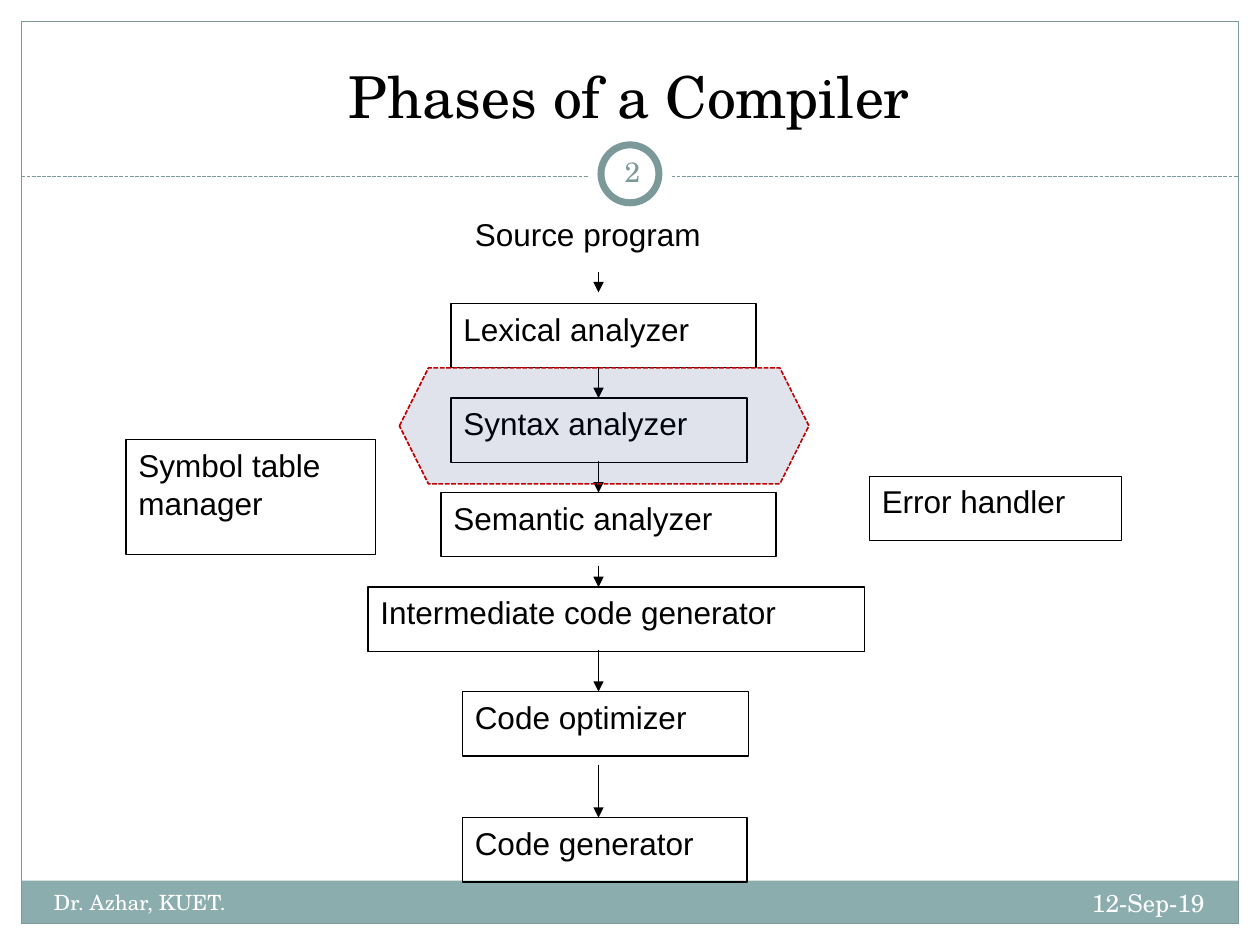
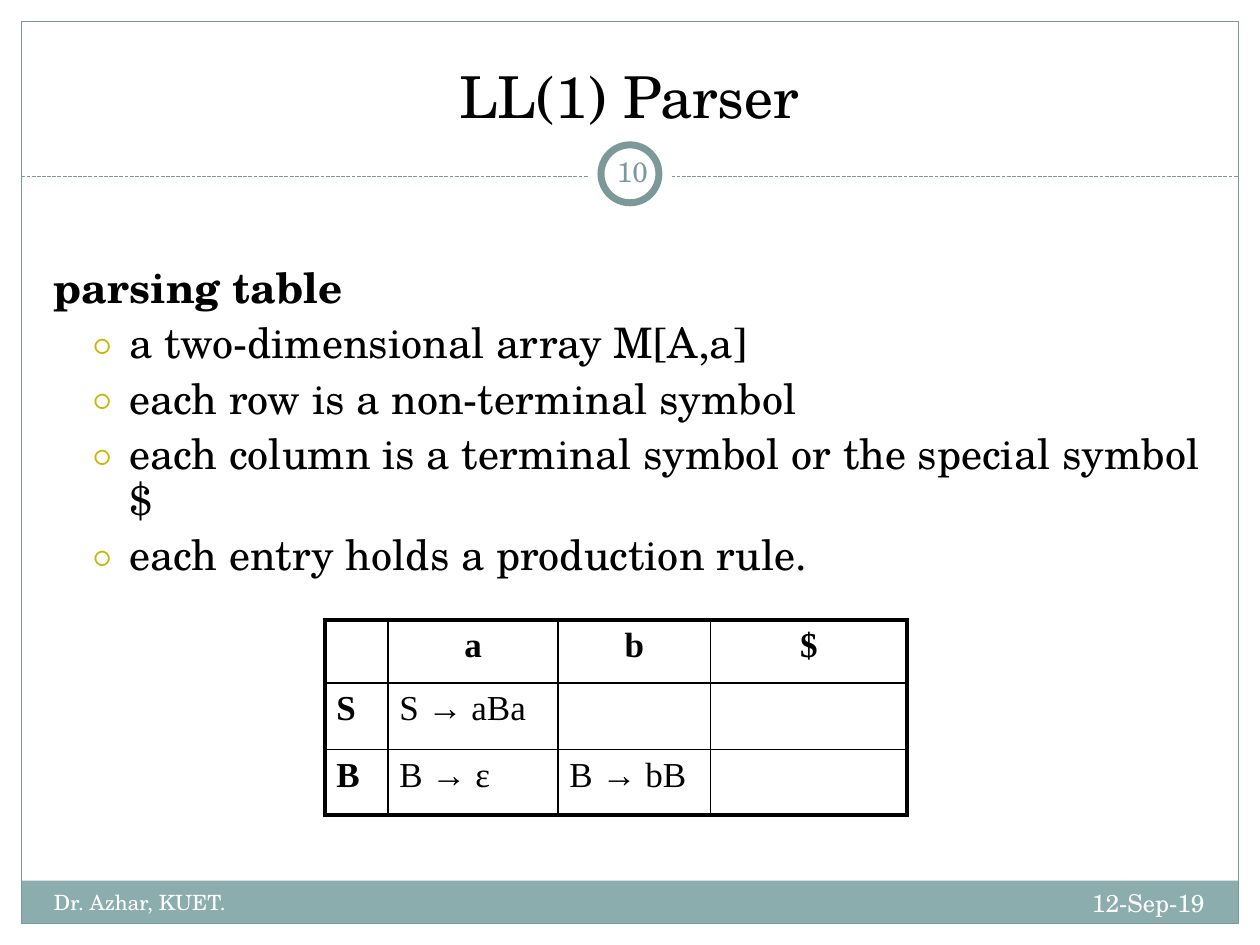
from dataclasses import dataclass
from lxml.etree import SubElement
from pptx import Presentation
from pptx.dml.color import RGBColor
from pptx.enum.dml import MSO_LINE
from pptx.enum.shapes import MSO_CONNECTOR, MSO_SHAPE
from pptx.enum.text import MSO_ANCHOR, PP_ALIGN
from pptx.oxml import parse_xml
from pptx.oxml.ns import nsdecls, qn
from pptx.util import Inches, Pt


@dataclass(frozen=True)
class Theme:
    ink: str = "000000"
    paper: str = "FFFFFF"
    band: str = "8CADAE"
    edge: str = "7C999A"
    bullet: str = "CCB400"
    focus: str = "002060"
    alert: str = "C00000"
    serif: str = "TeX Gyre Schola"
    sans: str = "Arial"
    table: str = "Times New Roman"
    title: int = 33
    body: int = 24
    cell: int = 20
    label: int = 18
    number: int = 16
    date: int = 14
    footer: int = 12


T = Theme()
WIDTH, HEIGHT = 10, 7.5
MARGIN = 0.17


def rgb(value):
    return RGBColor.from_string(value)


def inches(*values):
    return [Inches(v) for v in values]


def write(tf, text, size=T.label, font=T.sans, color=T.ink, bold=False,
          align=PP_ALIGN.LEFT, anchor=MSO_ANCHOR.TOP):
    tf.word_wrap = True
    tf.vertical_anchor = anchor
    for i, line in enumerate(text.split("\n")):
        p = tf.add_paragraph() if i else tf.paragraphs[0]
        p.alignment = align
        r = p.add_run()
        r.text = line
        r.font.size, r.font.name, r.font.bold = Pt(size), font, bold
        r.font.color.rgb = rgb(color)


def add_text(s, box, text, inset=None, **fmt):
    tf = s.shapes.add_textbox(*inches(*box)).text_frame
    if inset is not None:
        tf.margin_left = tf.margin_right = Inches(inset)
    write(tf, text, **fmt)
    return tf


def style_line(line, color, width, dash=None):
    line.color.rgb = rgb(color)
    line.width = Pt(width)
    if dash:
        line.dash_style = dash


def add_box(s, kind, box, fill=None, line=None, width=0.75, dash=None):
    sp = s.shapes.add_shape(kind, *inches(*box))
    sp.shadow.inherit = False
    if fill:
        sp.fill.solid()
        sp.fill.fore_color.rgb = rgb(fill)
    else:
        sp.fill.background()
    if line:
        style_line(sp.line, line, width, dash)
    else:
        sp.line.fill.background()
    return sp


def add_line(s, x1, y1, x2, y2, color=T.ink, dash=None, arrow=False):
    c = s.shapes.add_connector(MSO_CONNECTOR.STRAIGHT, *inches(x1, y1, x2, y2))
    style_line(c.line, color, 0.75, dash)
    if arrow:
        SubElement(c.line._get_or_add_ln(), qn("a:tailEnd"), type="triangle")
    SubElement(c._element.spPr, qn("a:effectLst"))


def number_badge(s, cx, cy, number):
    for size, line in ((0.67, None), (0.46, T.edge)):
        add_box(s, MSO_SHAPE.OVAL, (cx - size / 2, cy - size / 2, size, size),
                fill=T.paper, line=line, width=4)
    add_text(s, (cx - 0.23, cy - 0.26, 0.5, 0.48), str(number), inset=0.05,
             size=T.number, font=T.serif, color=T.edge,
             align=PP_ALIGN.CENTER, anchor=MSO_ANCHOR.MIDDLE)


def footer_band(s, left, top, width):
    add_box(s, MSO_SHAPE.RECTANGLE, (left, top, width, 0.34), fill=T.band)
    add_text(s, (left + 0.16, top + 0.02, 3.92, 0.4), "Dr. Azhar, KUET.",
             size=T.footer, font=T.serif, color=T.paper)
    add_text(s, (left + width - 3.5, top + 0.01, 3.33, 0.4), "12-Sep-19",
             size=T.date, font=T.serif, color=T.paper, align=PP_ALIGN.RIGHT)


def new_slide(prs, title, number):
    s = prs.slides.add_slide(prs.slide_layouts[6])
    inner = WIDTH - 2 * MARGIN
    footer_band(s, MARGIN, 6.99, inner)
    add_box(s, MSO_SHAPE.RECTANGLE,
            (MARGIN, MARGIN, inner, HEIGHT - 2 * MARGIN), line=T.edge)
    add_line(s, MARGIN, 1.4, WIDTH - MARGIN, 1.4, T.edge, MSO_LINE.SQUARE_DOT)
    number_badge(s, WIDTH / 2, 1.38, number)
    add_text(s, (0.33, 0.25, 9.33, 0.83), title, size=T.title, font=T.serif,
             align=PP_ALIGN.CENTER, anchor=MSO_ANCHOR.BOTTOM)
    return s


def phase_diagram(s, left, top):
    phases = [
        ("Lexical analyzer", 2.58, 0.75, 2.42),
        ("Syntax analyzer", 2.58, 1.5, 2.35),
        ("Semantic analyzer", 2.5, 2.25, 2.66),
        ("Intermediate code generator", 1.92, 3, 3.94),
        ("Code optimizer", 2.67, 3.83, 2.27),
        ("Code generator", 2.67, 4.83, 2.26),
    ]
    helpers = [
        ("Symbol table\nmanager", 0, 1.83, 1.98, 0.91),
        ("Error handler", 5.9, 2.12, 2, 0.51),
    ]
    arrows = [(0.5, 0.66), (1.25, 1.5), (2, 2.25), (2.83, 3), (3.5, 3.83),
              (4.41, 4.83)]
    add_text(s, (left + 2.67, top, 2.34, 0.5), "Source program")
    for text, x, y, w, h in [(*phase, 0.51) for phase in phases] + helpers:
        sp = add_box(s, MSO_SHAPE.RECTANGLE, (left + x, top + y, w, h), line=T.ink)
        write(sp.text_frame, text)
    for start, end in arrows:
        add_line(s, left + 3.75, top + start, left + 3.75, top + end, arrow=True)
    focus = add_box(s, MSO_SHAPE.HEXAGON, (left + 2.17, top + 1.26, 3.25, 0.92),
                    fill=T.focus, line=T.alert, width=0.9, dash=MSO_LINE.SQUARE_DOT)
    color = focus._element.spPr.find(qn("a:solidFill")).find(qn("a:srgbClr"))
    SubElement(color, qn("a:alpha"), val="12000")


def add_bullet(p):
    pPr = p._p.get_or_add_pPr()
    pPr.set("marL", str(Inches(0.6)))
    pPr.set("indent", str(Inches(-0.3)))
    SubElement(SubElement(pPr, qn("a:buClr")), qn("a:srgbClr"), val=T.bullet)
    SubElement(pPr, qn("a:buSzPct"), val="70000")
    SubElement(pPr, qn("a:buFont"), typeface=T.serif)
    SubElement(pPr, qn("a:buChar"), char="○")


def bullet_list(s, box, heading, items):
    tf = add_text(s, box, "\n".join([heading, *items]), size=T.body, font=T.serif)
    for i, p in enumerate(tf.paragraphs):
        p.line_spacing = 0.9
        if i:
            p.space_before = Pt(5.8)
            add_bullet(p)
        else:
            p.runs[0].font.bold = True


def set_borders(cell, widths):
    tcPr = cell._tc.get_or_add_tcPr()
    for i, (side, width) in enumerate(zip("LRTB", widths)):
        tcPr.insert(i, parse_xml(
            f'<a:ln{side} {nsdecls("a")} w="{Pt(width)}"><a:solidFill>'
            f'<a:srgbClr val="{T.ink}"/></a:solidFill></a:ln{side}>'))


def rule_table(s, left, top, cols, heights, rows):
    frame = s.shapes.add_table(len(rows), len(cols),
                               *inches(left, top, sum(cols), sum(heights)))
    table = frame.table
    table.first_row = table.horz_banding = False
    for column, width in zip(table.columns, cols):
        column.width = Inches(width)
    for row, height in zip(table.rows, heights):
        row.height = Inches(height)
    last_row, last_col = len(rows) - 1, len(cols) - 1
    for i, row in enumerate(rows):
        for j, text in enumerate(row):
            cell = table.cell(i, j)
            cell.fill.background()
            cell.margin_left = cell.margin_right = Inches(0.09)
            edges = (j == 0, j == last_col, i == 0, i == last_row)
            set_borders(cell, [2.25 if outer else 1 for outer in edges])
            if text:
                write(cell.text_frame, text, size=T.cell, font=T.table,
                      bold=i == 0 or j == 0,
                      align=PP_ALIGN.LEFT if i else PP_ALIGN.CENTER)


prs = Presentation()
prs.slide_width, prs.slide_height = inches(WIDTH, HEIGHT)

s = new_slide(prs, "Phases of a Compiler", 2)
phase_diagram(s, 1, 1.66)

s = new_slide(prs, "LL(1) Parser", 10)
bullet_list(s, (0.33, 2.07, 9.3, 2.6), "parsing table", [
    "a two-dimensional array M[A,a]",
    "each row is a non-terminal symbol",
    "each column is a terminal symbol or the special symbol $",
    "each entry holds a production rule.",
])
rule_table(s, 2.58, 4.92, [0.5, 1.35, 1.21, 1.56], [0.5, 0.53, 0.52], [
    ["", "a", "b", "$"],
    ["S", "S → aBa", "", ""],
    ["B", "B → ε", "B → bB", ""],
])

prs.save("out.pptx")
